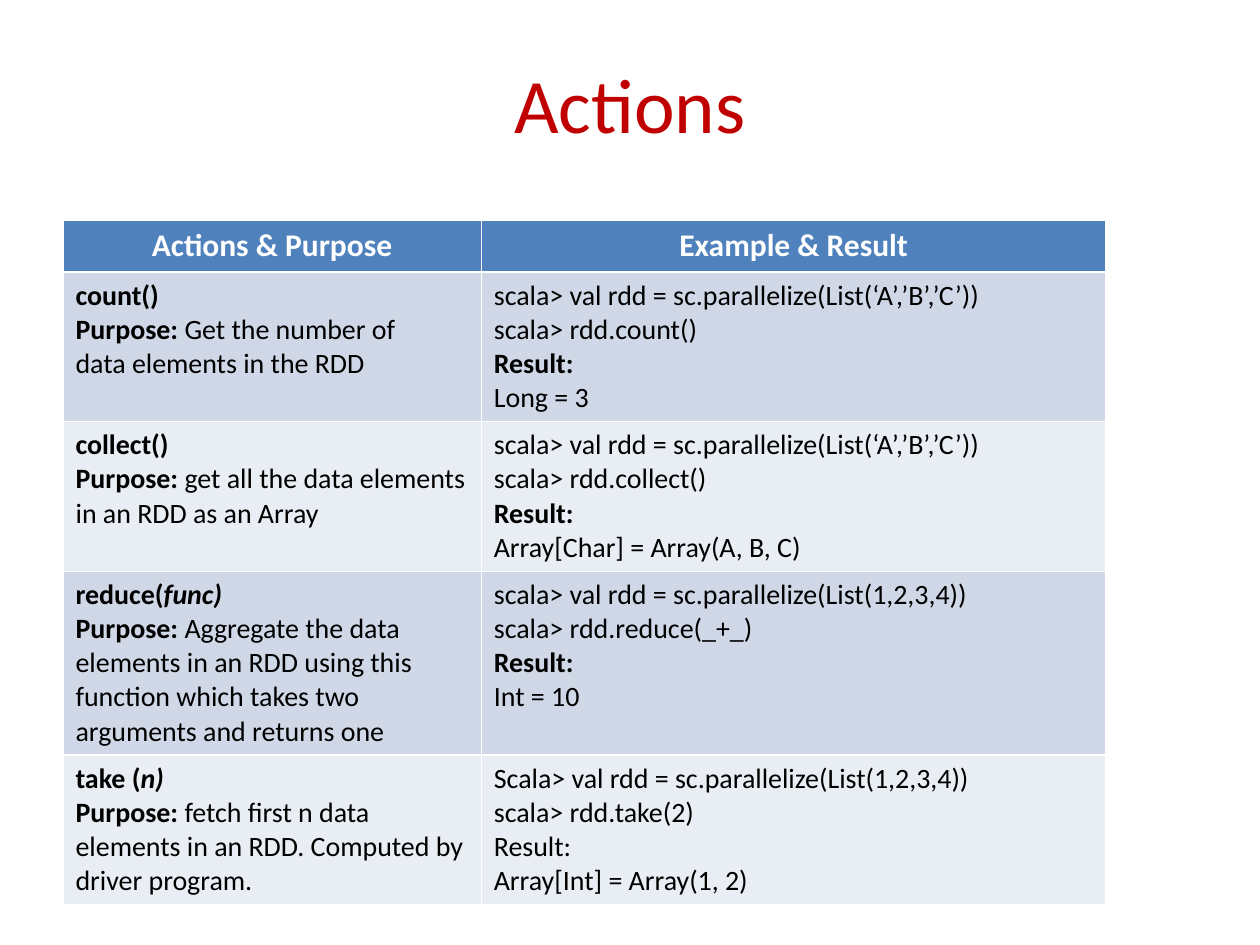
from pptx import Presentation
from pptx.dml.color import RGBColor
from pptx.enum.text import MSO_ANCHOR, PP_ALIGN
from pptx.util import Inches, Pt

FONT = "Calibri"
HUES = {
    "title": "C00000",
    "head": "4F81BD",
    "odd": "D0D8E8",
    "even": "E9EDF4",
    "light": "FFFFFF",
    "dark": "000000",
}
HEADS = ["Actions & Purpose", "Example & Result"]
CHARS = "scala> val rdd = sc.parallelize(List(‘A’,’B’,’C’))"
NUMS = "val rdd = sc.parallelize(List(1,2,3,4))"

# Each entry: name runs, purpose lines, code lines, result label style, result
ACTIONS = [
    ([("count()", "b")],
     ["Get the number of", "data elements in the RDD"],
     [CHARS, "scala> rdd.count()"], "b", "Long = 3"),
    ([("collect()", "b")],
     ["get all the data elements in an RDD as an Array"],
     [CHARS, "scala> rdd.collect()"], "b", "Array[Char] = Array(A, B, C)"),
    ([("reduce(", "b"), ("func)", "bi")],
     ["Aggregate the data elements in an RDD using this function "
      "which takes two arguments and returns one"],
     ["scala> " + NUMS, "scala> rdd.reduce(_+_)"], "b", "Int = 10"),
    ([("take (", "b"), ("n)", "bi")],
     ["fetch first n data elements in an RDD. Computed by driver program."],
     ["Scala> " + NUMS, "scala> rdd.take(2)"], "", "Array[Int] = Array(1, 2)"),
]


def tint(name):
    """Return the named colour."""
    return RGBColor.from_string(HUES[name])


def write(frame, lines, size, hue, align):
    """Fill a text frame with lines, each a list of (text, style) runs."""
    for i, runs in enumerate(lines):
        para = frame.paragraphs[0] if i == 0 else frame.add_paragraph()
        para.alignment = align
        for text, style in runs:
            run = para.add_run()
            run.text = text
            font = run.font
            font.name, font.size = FONT, Pt(size)
            font.bold, font.italic = "b" in style, "i" in style
            font.color.rgb = tint(hue)


def add_title(slide, text, left, top, width, height):
    """Place the slide title in its box."""
    title = slide.shapes.title
    title.left, title.top = Inches(left), Inches(top)
    title.width, title.height = Inches(width), Inches(height)
    title.text_frame.vertical_anchor = MSO_ANCHOR.MIDDLE
    write(title.text_frame, [[(text, "")]], 44, "title", PP_ALIGN.CENTER)


def fill_cell(cell, lines, fill, size=16, hue="dark", align=PP_ALIGN.LEFT):
    """Colour a table cell and write its lines."""
    cell.fill.solid()
    cell.fill.fore_color.rgb = tint(fill)
    write(cell.text_frame, lines, size, hue, align)


def add_grid(slide, left, top, widths, high):
    """Build the table of actions with its header row."""
    count = len(ACTIONS) + 1
    table = slide.shapes.add_table(
        count, len(widths), Inches(left), Inches(top),
        Inches(sum(widths)), Inches(high * count)).table
    for col, width in zip(table.columns, widths):
        col.width = Inches(width)
    for col, text in enumerate(HEADS):
        fill_cell(table.cell(0, col), [[(text, "b")]], "head", 18, "light",
                  PP_ALIGN.CENTER)
    for row, (name, goal, code, mark, result) in enumerate(ACTIONS, 1):
        fill = "odd" if row % 2 else "even"
        first = [("Purpose: ", "b"), (goal[0], "")]
        left_part = [name, first] + [[(line, "")] for line in goal[1:]]
        right_part = [[(line, "")] for line in code]
        right_part += [[("Result:", mark)], [(result, "")]]
        fill_cell(table.cell(row, 0), left_part, fill)
        fill_cell(table.cell(row, 1), right_part, fill)


def main():
    """Build and save the slide."""
    deck = Presentation()
    deck.slide_width, deck.slide_height = Inches(10), Inches(7.5)
    slide = deck.slides.add_slide(deck.slide_layouts[5])
    add_title(slide, "Actions", 0.5, 0.3, 9, 1.03)
    add_grid(slide, 0.5, 1.75, [3.32, 4.96], 0.41)
    deck.save("out.pptx")


if __name__ == "__main__":
    main()
